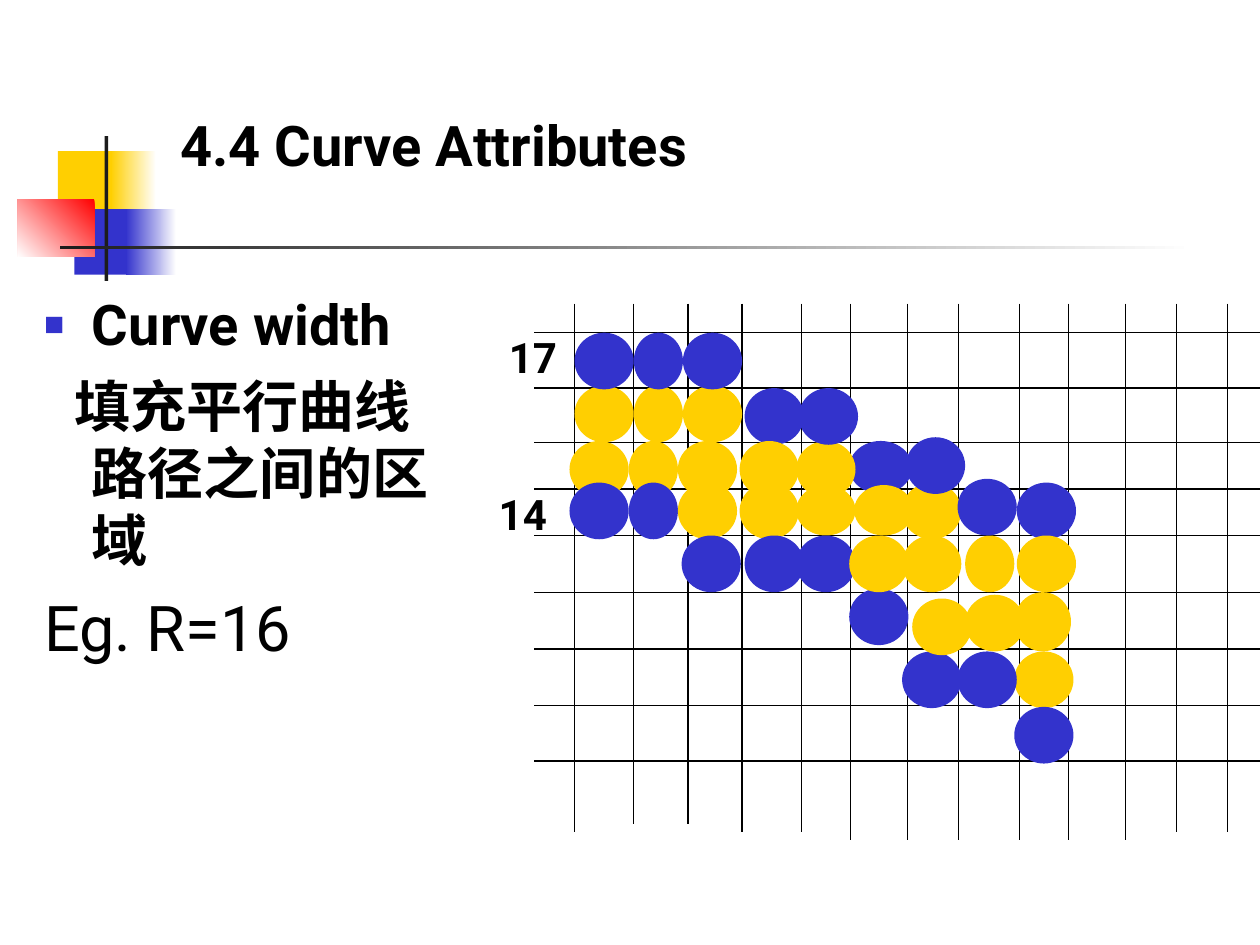
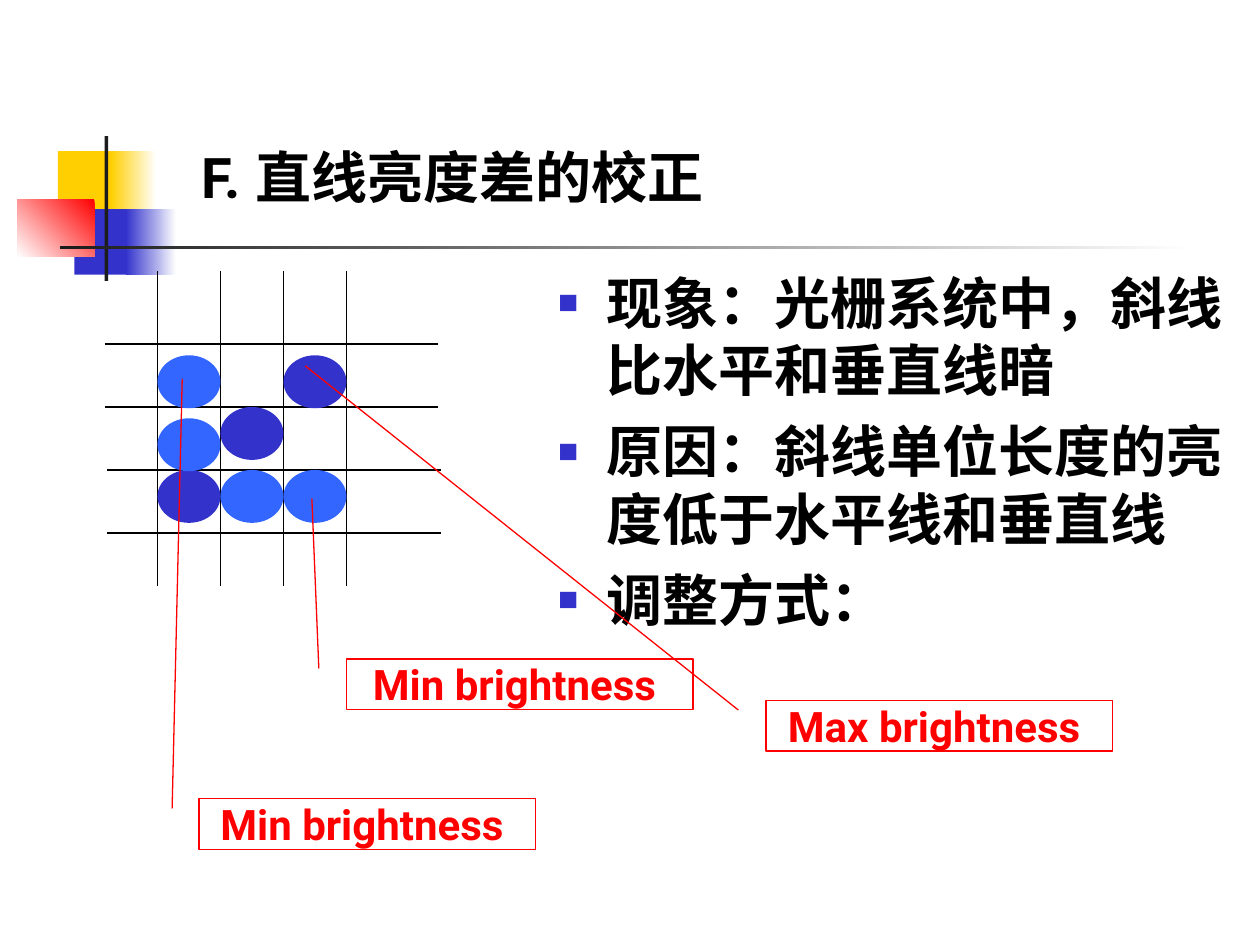
import pptx
import pptx.util
import pptx.dml.color
import pptx.enum.dml
import pptx.enum.shapes
import pptx.enum.text
from lxml import etree
from pptx.util import Inches

BLACK, WHITE, RED = "000000", "FFFFFF", "FF0000"
YELLOW, NAVY, BLUE, DARK = "FFCF01", "3333CC", "3366FF", "1C1C1C"
SHAPE = pptx.enum.shapes.MSO_SHAPE
ANCHOR = pptx.enum.text.MSO_ANCHOR
ALIGN = pptx.enum.text.PP_ALIGN
NS = "http://schemas.openxmlformats.org/drawingml/2006/main"


def rgb(value):
    return pptx.dml.color.RGBColor.from_string(value)


def add_text(tf, text, size=32, bold=True, color=BLACK, align=ALIGN.LEFT,
             before=0, bullet=False, margin=0, indent=0):
    """Fill the empty first paragraph of a frame, or append another one."""
    p = tf.paragraphs[0]
    if p.runs:
        p = tf.add_paragraph()
    pPr = p._p.get_or_add_pPr()
    pPr.set("marL", str(Inches(margin)))
    pPr.set("indent", str(Inches(indent)))
    if bullet:
        clr = etree.SubElement(pPr, f"{{{NS}}}buClr")
        etree.SubElement(clr, f"{{{NS}}}srgbClr", val=NAVY)
        etree.SubElement(pPr, f"{{{NS}}}buSzPct", val="60000")
        etree.SubElement(pPr, f"{{{NS}}}buChar", char="■")
    else:
        etree.SubElement(pPr, f"{{{NS}}}buNone")
    p.alignment = align
    p.space_before = pptx.util.Pt(before)
    r = p.add_run()
    r.text = text
    r.font.name = "Roboto"
    r.font.size = pptx.util.Pt(size)
    r.font.bold = bold
    r.font.color.rgb = rgb(color)


# Shared decoration: box, start colour, end colour, counterclockwise angle
decor = [
    ((0.46, 1.2, 0.48, 0.52), YELLOW, None, 0),
    ((0.88, 1.2, 0.36, 0.52), WHITE, YELLOW, 180),
    ((0.59, 1.66, 0.46, 0.52), NAVY, None, 0),
    ((1, 1.66, 0.4, 0.52), WHITE, NAVY, 180),
    ((0.14, 1.58, 0.61, 0.46), RED, WHITE, 225),
    ((0.83, 1.08, 0.03, 1.15), DARK, None, 0),
    ((0.48, 1.95, 9, 0.03), WHITE, DARK, 180),
]

# Slide 1 grid: from x, from y, to x, to y
curve_grid = [(4.24, y, 10, y)
              for y in (2.64, 3.08, 3.51, 3.88, 4.25, 4.7, 5.15, 5.6, 6.04)]
for bottom, columns in [
    (6.54, (5.03, 5.46)),
    (6.6, (4.56, 5.89, 6.36, 9.34, 9.74)),
    (6.67, (6.75, 7.2, 7.61, 8.09, 8.48, 8.93)),
]:
    curve_grid += [(x, 2.41, x, bottom) for x in columns]

# Pixels, back to front: colour, top, width, height, lefts
curve_pixels = [
    (YELLOW, 3.06, 0.47, 0.45, (4.56, 5.42)),
    (YELLOW, 3.06, 0.39, 0.45, (5.03,)),
    (NAVY, 3.5, 0.5, 0.42, (6.74,)),
    (YELLOW, 3.83, 0.47, 0.45, (7.16,)),
    (YELLOW, 4.25, 0.39, 0.45, (7.66,)),
    (NAVY, 3.08, 0.47, 0.45, (5.91,)),
    (NAVY, 2.64, 0.47, 0.45, (4.56, 5.42)),
    (NAVY, 2.64, 0.39, 0.45, (5.03,)),
    (YELLOW, 3.5, 0.47, 0.45, (6.32, 4.52, 5.38, 5.87)),
    (YELLOW, 3.5, 0.39, 0.45, (4.99,)),
    (NAVY, 3.83, 0.47, 0.45, (4.52,)),
    (NAVY, 3.83, 0.39, 0.45, (4.99,)),
    (YELLOW, 3.83, 0.47, 0.45, (5.38, 5.87)),
    (NAVY, 3.08, 0.47, 0.45, (6.34,)),
    (YELLOW, 3.85, 0.47, 0.4, (6.32,)),
    (NAVY, 4.25, 0.47, 0.45, (5.41, 5.91, 6.32)),
    (NAVY, 4.67, 0.47, 0.45, (6.74,)),
    (NAVY, 3.47, 0.47, 0.45, (7.19,)),
    (YELLOW, 4.72, 0.47, 0.45, (7.66,)),
    (NAVY, 5.17, 0.47, 0.45, (7.16,)),
    (NAVY, 3.8, 0.47, 0.45, (7.6,)),
    (YELLOW, 4.7, 0.45, 0.47, (8.05,)),
    (YELLOW, 5.17, 0.47, 0.45, (8.05,)),
    (NAVY, 5.61, 0.47, 0.45, (8.05,)),
    (NAVY, 3.83, 0.47, 0.45, (8.07,)),
    (YELLOW, 4.25, 0.47, 0.45, (6.74, 8.07, 7.16)),
    (YELLOW, 4.75, 0.47, 0.45, (7.24,)),
    (NAVY, 5.17, 0.47, 0.45, (7.6,)),
    (YELLOW, 3.85, 0.47, 0.4, (6.78,)),
]

# Slide 2 grid and pixels on a half-inch pitch
line_grid = [(x, 2.15, x, 4.65) for x in (1.25, 1.75, 2.25, 2.75)]
for i in range(4):
    left = 0.83 if i < 2 else 0.85
    y = 2.73 + 0.5 * i
    line_grid.append((left, y, left + 2.65, y))
line_pixels = [
    (NAVY, 3.73, 0.5, 0.42, (1.25,)),
    (BLUE, 3.73, 0.5, 0.42, (1.75, 2.25)),
    (BLUE, 3.32, 0.5, 0.42, (1.25,)),
    (BLUE, 2.82, 0.5, 0.42, (1.25,)),
    (NAVY, 3.23, 0.5, 0.42, (1.75,)),
    (NAVY, 2.82, 0.5, 0.42, (2.25,)),
]

# Body paragraphs
bulleted = dict(bullet=True, margin=0.38, indent=-0.38)
curve_text = [
    ("Curve width", bulleted),
    ("填充平行曲线路径之间的区域", dict(before=8, margin=0.38, indent=-0.14)),
    ("Eg. R=16", dict(before=9, margin=0.38, indent=-0.38, size=36, bold=False)),
]
line_text = [
    ("现象：光栅系统中，斜线比水平和垂直线暗", bulleted),
    ("原因：斜线单位长度的亮度低于水平线和垂直线", dict(bulleted, before=8)),
    ("调整方式：", dict(bulleted, before=8)),
]

pages = [
    ("4.4 Curve Attributes", (1.33, 0.83, 5.92, 0.64),
     curve_text, (0.25, 2.25, 3.42, 4.5), curve_grid, curve_pixels),
    ("F. 直线亮度差的校正", (1.5, 1.08, 7.17, 0.64),
     line_text, (4.33, 2.08, 5.5, 4.58), line_grid, line_pixels),
]

prs = pptx.Presentation()
prs.slide_width, prs.slide_height = Inches(10), Inches(7.5)

for title, title_box, paragraphs, body_box, grid, pixels in pages:
    s = prs.slides.add_slide(prs.slide_layouts[1])

    # Decoration
    for box, start, end, angle in decor:
        sp = s.shapes.add_shape(SHAPE.RECTANGLE, *map(Inches, box))
        sp.shadow.inherit = False
        sp.line.fill.background()
        if end:
            sp.fill.gradient()
            sp.fill.gradient_angle = angle
            for stop, color in zip(sp.fill.gradient_stops, (start, end)):
                stop.color.rgb = rgb(color)
        else:
            sp.fill.solid()
            sp.fill.fore_color.rgb = rgb(start)

    # Title and body
    for ph, box, items in [
        (s.shapes.title, title_box, [(title, {})]),
        (s.placeholders[1], body_box, paragraphs),
    ]:
        ph.left, ph.top, ph.width, ph.height = map(Inches, box)
        tf = ph.text_frame
        tf.auto_size = pptx.enum.text.MSO_AUTO_SIZE.NONE
        tf.vertical_anchor = ANCHOR.TOP
        for text, fmt in items:
            add_text(tf, text, **fmt)

    # Pixel grid
    for ends in grid:
        c = s.shapes.add_connector(pptx.enum.shapes.MSO_CONNECTOR.STRAIGHT,
                                   *map(Inches, ends))
        c.line.color.rgb = rgb(BLACK)
        c.line.width = pptx.util.Pt(0.75)
        etree.SubElement(c._element.spPr, f"{{{NS}}}effectLst")

    # Pixels
    for color, top, width, height, lefts in pixels:
        for left in lefts:
            sp = s.shapes.add_shape(SHAPE.OVAL, Inches(left), Inches(top),
                                    Inches(width), Inches(height))
            sp.shadow.inherit = False
            sp.fill.solid()
            sp.fill.fore_color.rgb = rgb(color)
            sp.line.fill.background()

# Row numbers on the curve grid
for number, left, top in [("17", 3.94, 2.58), ("14", 3.86, 3.83)]:
    sp = prs.slides[0].shapes.add_textbox(Inches(left), Inches(top),
                                          Inches(0.58), Inches(0.5))
    sp.text_frame.word_wrap = False
    add_text(sp.text_frame, number, size=24)

# Brightness callouts: text, box, pointer end (y and x as shares of the box)
for text, box, tip in [
    ("Min brightness ", (2.75, 5.23, 2.75, 0.4), (-3.18, -0.1)),
    ("Min brightness ", (1.58, 6.34, 2.67, 0.4), (-8.33, -0.05)),
    ("Max brightness ", (6.08, 5.56, 2.75, 0.4), (-6.64, -1.33)),
]:
    sp = prs.slides[1].shapes.add_shape(SHAPE.LINE_CALLOUT_1, *map(Inches, box))
    for i, value in enumerate((0.19, -0.08) + tip):
        sp.adjustments[i] = value
    sp.shadow.inherit = False
    sp.fill.background()
    sp.line.color.rgb = rgb(RED)
    sp.line.width = pptx.util.Pt(0.75)
    tf = sp.text_frame
    tf.word_wrap = True
    tf.vertical_anchor = ANCHOR.MIDDLE
    tf.margin_left = tf.margin_right = tf.margin_top = tf.margin_bottom = 0
    add_text(tf, text, size=24, color=RED, align=ALIGN.CENTER)

prs.save("out.pptx")
